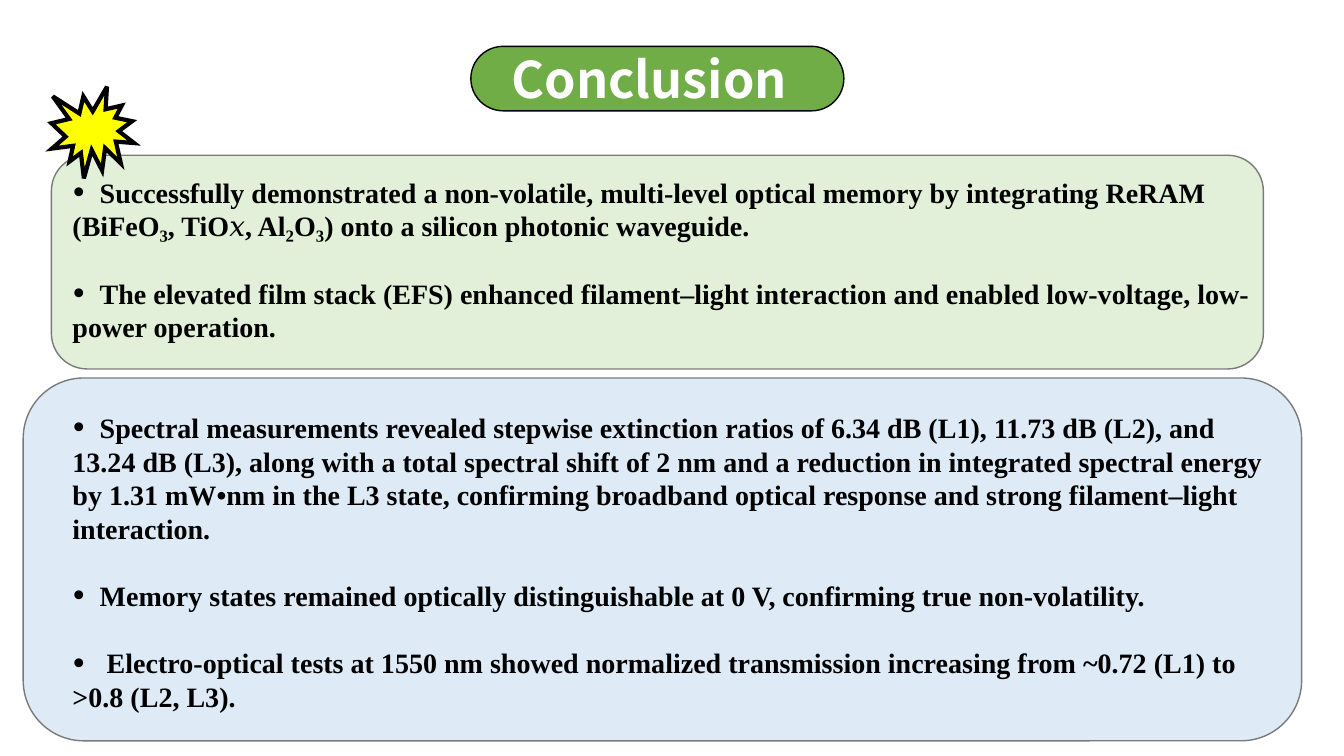
from lxml import etree
from pptx import Presentation
from pptx.dml.color import RGBColor
from pptx.enum import shapes, text
from pptx.oxml import ns
from pptx.util import Inches, Pt

FINDINGS = [  # space before in points, tab stop in inches, wording
    (0, 0.27, "Successfully demonstrated a non-volatile, multi-level optical memory by integrating ReRAM "
     "(BiFeO₃, TiO𝑥, Al₂O₃) onto a silicon photonic waveguide."),
    (24, 0.27, "The elevated film stack (EFS) enhanced filament–light interaction and enabled "
     "low-voltage, low-power operation."),
    (48, 0.27, "Spectral measurements revealed stepwise extinction ratios of 6.34 dB (L1), 11.73 dB (L2), "
     "and 13.24 dB (L3), along with a total spectral shift of 2 nm and a reduction in integrated "
     "spectral energy by 1.31 mW•nm in the L3 state, confirming broadband optical response and "
     "strong filament–light interaction."),
    (24, 0.27, "Memory states remained optically distinguishable at 0 V, confirming true non-volatility."),
    (24, 0.34, "Electro-optical tests at 1550 nm showed normalized transmission increasing from "
     "~0.72 (L1) to >0.8 (L2, L3)."),
]


def color(value):
    return RGBColor.from_string(value)


def add_panel(kind, bounds, fill, line, width):
    """Add a filled, outlined shape without shadow; bounds are in inches."""
    panel = page.shapes.add_shape(kind, *map(Inches, bounds))
    panel.shadow.inherit = False
    panel.fill.solid()
    panel.fill.fore_color.rgb = color(fill)
    panel.line.color.rgb = color(line)
    panel.line.width = Pt(width)
    return panel


deck = Presentation()
deck.slide_width = Inches(13.33)
deck.slide_height = Inches(7.5)
page = deck.slides.add_slide(deck.slide_layouts[6])
kinds = shapes.MSO_SHAPE

# Panels behind the findings
add_panel(kinds.ROUNDED_RECTANGLE, (0.23, 3.75, 12.68, 3.6), "DEEBF7", "7A7A7A", 1)
add_panel(kinds.ROUNDED_RECTANGLE, (0.51, 1.54, 12.02, 2.12), "E2F0D9", "7A7A7A", 1)

# Findings
findings_box = page.shapes.add_textbox(Inches(0.62), Inches(1.69), Inches(12.29), Inches(5.49))
frame = findings_box.text_frame
frame.word_wrap = True
frame.margin_right = Inches(0.25)
for index, (space, stop, wording) in enumerate(FINDINGS):
    para = frame.paragraphs[0] if index == 0 else frame.add_paragraph()
    para.text = "\t" + wording
    para.line_spacing = Pt(24)
    para.space_before = Pt(space)
    props = para._p.get_or_add_pPr()
    props.set("marL", "0")
    props.set("indent", "0")
    etree.SubElement(props, ns.qn("a:buSzPct"), val="132000")
    etree.SubElement(props, ns.qn("a:buFont"), typeface="Times New Roman")
    etree.SubElement(props, ns.qn("a:buChar"), char="•")
    tabs = etree.SubElement(props, ns.qn("a:tabLst"))
    etree.SubElement(tabs, ns.qn("a:tab"), pos=str(Inches(stop)), algn="l")
    font = para.runs[0].font
    font.name = "Times New Roman"
    font.size = Pt(20)
    font.bold = True
    font.color.rgb = color("000000")

# Title
title_pill = add_panel(kinds.ROUNDED_RECTANGLE, (4.67, 0.46, 3.7, 0.64), "70AD47", "000000", 1)
title_pill.adjustments[0] = 0.5
title_box = page.shapes.add_textbox(Inches(4.67), Inches(0.43), Inches(3.54), Inches(0.35))
title_box.text_frame.word_wrap = True
title = title_box.text_frame.paragraphs[0]
title.text = "Conclusion"
title.alignment = text.PP_ALIGN.CENTER
span = title.runs[0]
span.font.name = "Noto Sans CJK KR"
span.font.size = Pt(36)
span.font.bold = True
span.font.color.rgb = color("FFFFFF")

# Highlight burst
burst = add_panel(kinds.EXPLOSION1, (0.51, 0.86, 0.82, 0.91), "FFFF00", "000000", 3)
line_props = burst.line._get_or_add_ln()
etree.SubElement(line_props, ns.qn("a:miter"), lim="800000")

deck.save("out.pptx")
